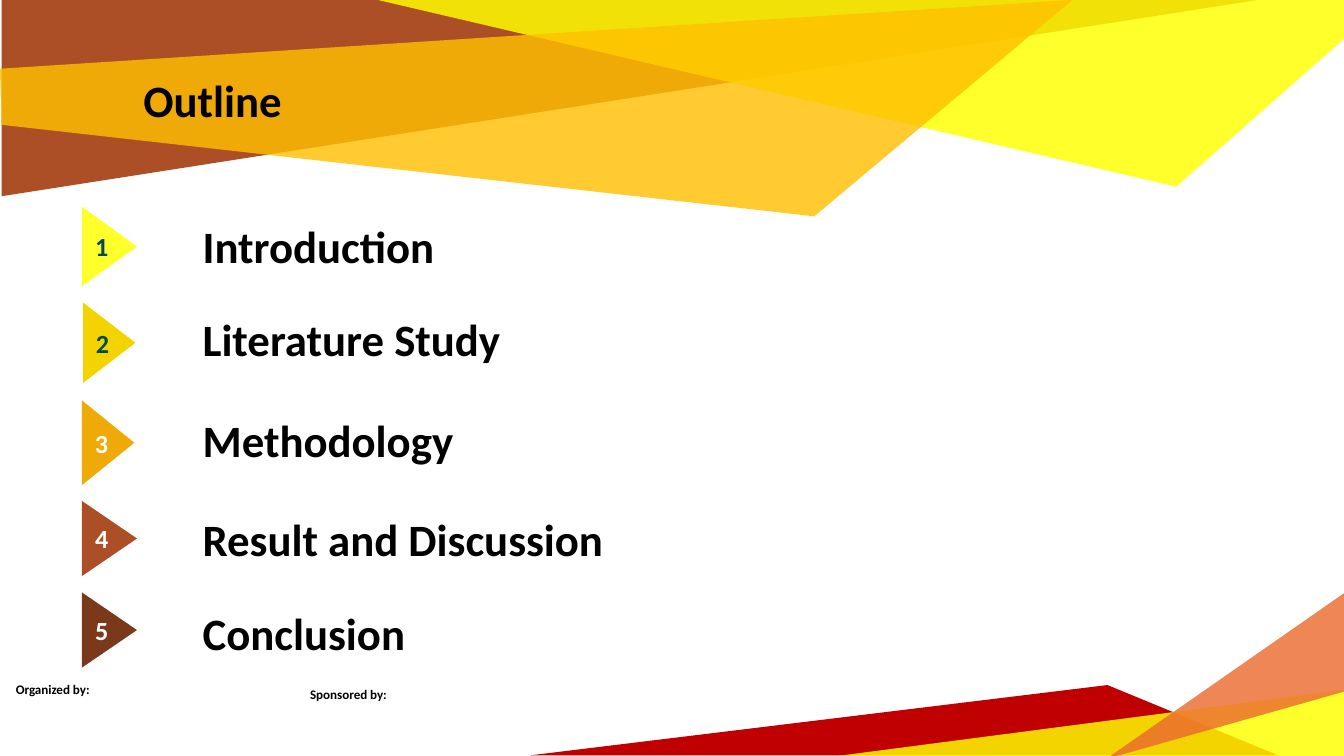
from lxml import etree
from pptx import Presentation
from pptx import util as u
from pptx.dml import color as colour
from pptx.enum import shapes, text
from pptx.oxml import ns

BLACK = colour.RGBColor(0x00, 0x00, 0x00)
WHITE = colour.RGBColor(0xFF, 0xFF, 0xFF)
TEAL = colour.RGBColor(0x00, 0x4C, 0x52)
BROWN = colour.RGBColor(0xAD, 0x4F, 0x26)
DARK_BROWN = colour.RGBColor(0x7B, 0x39, 0x1B)
YELLOW = colour.RGBColor(0xFF, 0xFF, 0x00)
LIGHT_YELLOW = colour.RGBColor(0xFF, 0xFF, 0x2B)
GOLD = colour.RGBColor(0xF4, 0xD4, 0x00)
AMBER = colour.RGBColor(0xFF, 0xC0, 0x00)
OCHRE = colour.RGBColor(0xEF, 0xAA, 0x07)
RED = colour.RGBColor(0xC0, 0x00, 0x00)
ORANGE = colour.RGBColor(0xEB, 0x6A, 0x30)

INSET = 0.25
HEADER_BOX = (0, 0)
FOOTER_BOX = (10, 11.18)
TITLE_BOX = (2.46, 1.12, 20.47, 2.39)

HEADER_BANDS = [
    (BROWN, 100, [(0.03, 0), (0.03, 3.71), (23.77, 0)]),
    (YELLOW, 83, [(7.14, 0), (22.23, 3.53), (25.43, 0.71), (25.43, 0)]),
    (AMBER, 81, [(0, 1.3), (0.03, 2.36), (15.39, 4.09), (20.27, 0)]),
]
FOOTER_BANDS = [
    (RED, 100, [(0.01, 3.1), (14.16, 3.1), (10.93, 1.77)]),
    (YELLOW, 83, [(15.48, 1.85), (15.48, 3.17), (5.37, 3.17)]),
    (ORANGE, 81, [(15.45, 1.88), (15.45, 0), (10.9, 3.17)]),
]
CREDITS = [
    ("Organized by:", (0.05, 12.73, 1.93, 0.81)),
    ("Sponsored by:", (5.61, 12.83, 2.39, 0.81)),
]
TOPICS = [
    ("Introduction", (1.55, 3.91, 1.04, 1.5), 4.01, LIGHT_YELLOW, TEAL),
    ("Literature Study", (1.57, 5.72, 0.99, 1.52), 5.77, GOLD, TEAL),
    ("Methodology", (1.55, 7.57, 0.99, 1.6), 7.67, OCHRE, WHITE),
    ("Result and Discussion", (1.55, 9.47, 1.04, 1.42), 9.55, BROWN, WHITE),
    ("Conclusion", (1.55, 11.2, 1.04, 1.42), 11.33, DARK_BROWN, WHITE),
]


def set_values(target, values):
    for name, value in values.items():
        setattr(target, name, value)


def to_lengths(box):
    return [u.Cm(value) for value in box]


def write_text(shape, words, size, color, inset=None, frame_format=None,
               alignment=text.PP_ALIGN.LEFT):
    frame = shape.text_frame
    set_values(frame, {"word_wrap": True, **(frame_format or {})})
    if inset is not None:
        for side in ("left", "top", "right", "bottom"):
            setattr(frame, f"margin_{side}", u.Cm(inset))
    paragraph = frame.paragraphs[0]
    paragraph.alignment = alignment
    run = paragraph.add_run()
    run.text = words
    set_values(run.font, {"name": "Calibri", "size": u.Pt(size), "bold": True})
    run.font.color.rgb = color


def fill_plain(shape, color, opacity=100):
    shape.shadow.inherit = False
    shape.fill.solid()
    shape.fill.fore_color.rgb = color
    shape.line.fill.background()
    if opacity < 100:
        node = shape._element.spPr.find(".//" + ns.qn("a:srgbClr"))
        etree.SubElement(node, ns.qn("a:alpha"), val=str(opacity * 1000))


def add_bands(slide, box, bands):
    left, top = box
    for color, opacity, corners in bands:
        points = [(u.Cm(left + x), u.Cm(top + y)) for x, y in corners]
        builder = slide.shapes.build_freeform(*points[0])
        builder.add_line_segments(points[1:], close=True)
        fill_plain(builder.convert_to_shape(), color, opacity)


def add_credit(slide, box, words):
    shape = slide.shapes.add_textbox(*to_lengths(box))
    write_text(shape, words, 7, BLACK, INSET)


def place_title(slide, box, words):
    title = slide.shapes.title
    title._element.getparent().append(title._element)
    set_values(title, dict(zip(("left", "top", "width", "height"), to_lengths(box))))
    write_text(title, words, 24, BLACK, INSET, {
        "vertical_anchor": text.MSO_ANCHOR.TOP,
        "auto_size": text.MSO_AUTO_SIZE.NONE,
    })


def add_badge(slide, box, number, fill, color):
    badge = slide.shapes.add_shape(shapes.MSO_SHAPE.PENTAGON, *to_lengths(box))
    badge.adjustments[0] = 2.12
    fill_plain(badge, fill)
    write_text(badge, str(number), 14, color, INSET,
               {"vertical_anchor": text.MSO_ANCHOR.MIDDLE}, text.PP_ALIGN.RIGHT)


def add_label(slide, box, words):
    write_text(slide.shapes.add_textbox(*to_lengths(box)), words, 24, BLACK)


def build_outline_slide(presentation):
    slide = presentation.slides.add_slide(presentation.slide_layouts[5])
    add_bands(slide, HEADER_BOX, HEADER_BANDS)
    add_bands(slide, FOOTER_BOX, FOOTER_BANDS)
    for words, box in CREDITS:
        add_credit(slide, box, words)
    place_title(slide, TITLE_BOX, "Outline")
    for number, (words, box, label_top, fill, color) in enumerate(TOPICS, 1):
        add_badge(slide, box, number, fill, color)
        add_label(slide, (3.58, label_top, 8.84, 1.27), words)


def main():
    presentation = Presentation()
    set_values(presentation, {"slide_width": u.Cm(25.4), "slide_height": u.Cm(14.29)})
    build_outline_slide(presentation)
    presentation.save("out.pptx")


if __name__ == "__main__":
    main()
